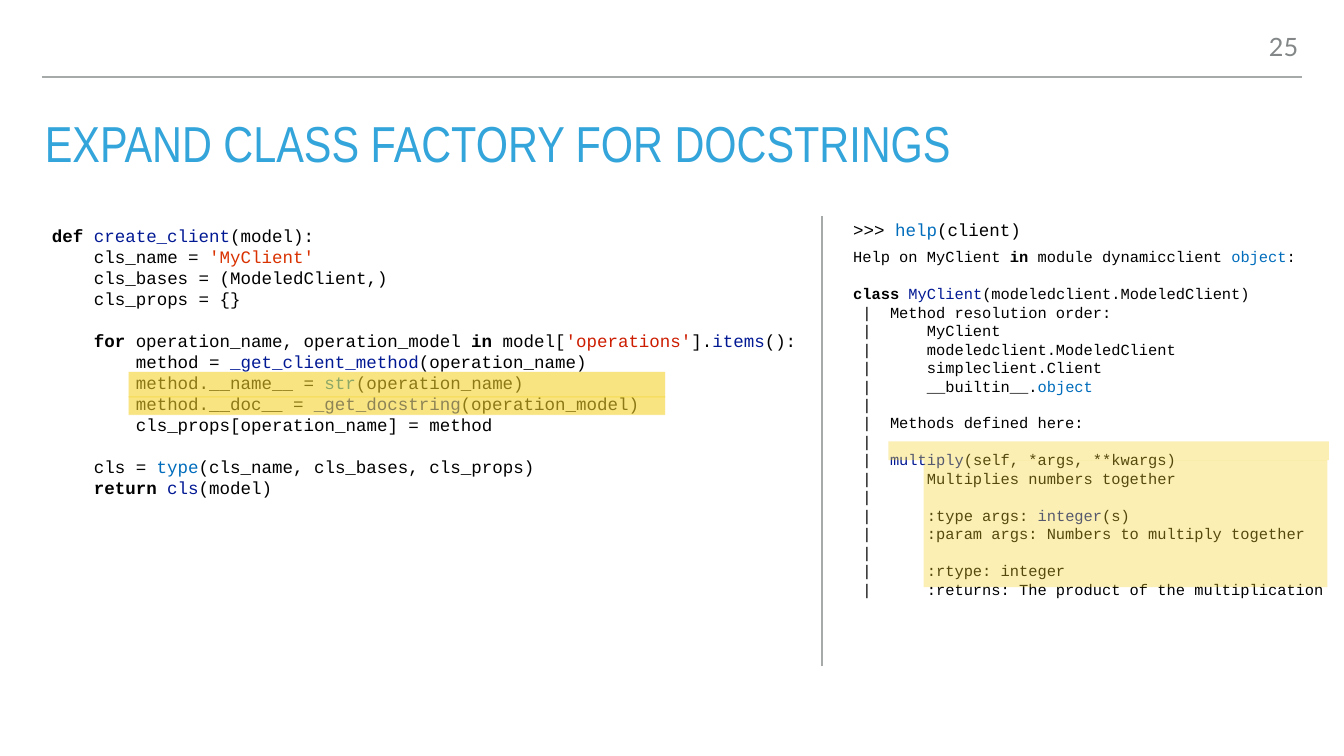
from lxml.etree import SubElement
from pptx import Presentation
from pptx.dml.color import RGBColor
from pptx.enum.shapes import MSO_CONNECTOR, MSO_SHAPE
from pptx.enum.text import MSO_ANCHOR as Anchor, MSO_AUTO_SIZE as AutoSize, PP_ALIGN as Align
from pptx.oxml.ns import qn
from pptx.util import Inches, Pt

COLORS = {
    "paper": "FFFFFF", "rule": "A6AAA9", "title": "34A5DA", "number": "838787",
    "highlight": "F5D328", "code": "000000", "keyword": "000000", "name": "021994",
    "builtin": "006DBC", "string": "D93200", "key": "CD1D00",
}
LINE_PITCH = 1.2  # code line height relative to the font size

# A code line is a list of spans: plain text, or (text, kind). None is an empty line.
FACTORY_CODE = [
    [("def ", "keyword"), ("create_client", "name"), "(model):"],
    ["    cls_name = ", ("'MyClient'", "string")],
    ["    cls_bases = (ModeledClient,)"],
    ["    cls_props = {}"],
    None,
    ["    ", ("for", "keyword"), " operation_name, operation_model ", ("in", "keyword"),
     " model[", ("'operations'", "key"), "].", ("items", "name"), "():"],
    ["        method = ", ("_get_client_method", "name"), "(operation_name)"],
    ["        method.__name__ = ", ("str", "builtin"), "(operation_name)"],
    ["        method.__doc__ = ", ("_get_docstring", "name"), "(operation_model)"],
    ["        cls_props[operation_name] = method"],
    None,
    ["    cls = ", ("type", "builtin"), "(cls_name, cls_bases, cls_props)"],
    ["    ", ("return ", "keyword"), ("cls", "name"), "(model)"],
]
HELP_CALL = [[">>> ", ("help", "builtin"), "(client)"]]
HELP_OUTPUT = [
    ["Help on MyClient ", ("in", "keyword"), " module dynamicclient ",
     ("object", "builtin"), ":"],
    None,
    [("class ", "keyword"), ("MyClient", "name"), "(modeledclient.ModeledClient)"],
    [" |  Method resolution order:"],
    [" |      MyClient"],
    [" |      modeledclient.ModeledClient"],
    [" |      simpleclient.Client"],
    [" |      __builtin__.", ("object", "builtin")],
    [" |"],
    [" |  Methods defined here:"],
    [" |"],
    [" |  ", ("multiply", "name"), "(self, *args, **kwargs)"],
    [" |      Multiplies numbers together"],
    [" |"],
    [" |      :type args: ", ("integer", "name"), "(s)"],
    [" |      :param args: Numbers to multiply together"],
    [" |"],
    [" |      :rtype: integer"],
    [" |      :returns: The product of the multiplication"],
]


def color(name):
    return RGBColor.from_string(COLORS[name])


def add_span(para, text, font, size, color_name, bold=False):
    span = para.add_run()
    span.text = text
    span.font.name = font
    span.font.size = Pt(size)
    span.font.bold = bold
    span.font.color.rgb = color(color_name)


def set_frame(frame, anchor, wrap=True):
    frame.margin_left = frame.margin_right = Inches(0.06)
    frame.margin_top = frame.margin_bottom = Inches(0.06)
    frame.vertical_anchor = anchor
    frame.word_wrap = wrap
    frame.auto_size = AutoSize.NONE


def add_rule(page, start, end):
    rule = page.shapes.add_connector(
        MSO_CONNECTOR.STRAIGHT, *(Inches(value) for value in start + end))
    rule.line.color.rgb = color("rule")
    rule.line.width = Pt(2)
    SubElement(rule._element.spPr, qn("a:effectLst"))


def add_rectangle(page, area, fill):
    box = page.shapes.add_shape(MSO_SHAPE.RECTANGLE, *(Inches(value) for value in area))
    box.shadow.inherit = False
    box.fill.solid()
    box.fill.fore_color.rgb = color(fill)
    box.line.fill.background()
    return box


def add_highlight(page, *area):
    """Add a marker band that lets the code below show through."""
    box = add_rectangle(page, area, "highlight")
    tint = box._element.spPr.find(qn("a:solidFill"))[0]
    SubElement(tint, qn("a:alpha"), val="35000")


def write_code(box, lines, size):
    frame = box.text_frame
    set_frame(frame, Anchor.MIDDLE)
    pitch = Pt(LINE_PITCH * size)
    para, gap = frame.paragraphs[0], 0
    for index, line in enumerate(lines):
        if line is None:
            gap = pitch
            continue
        if index:
            para = frame.add_paragraph()
        para.alignment = Align.LEFT
        para.line_spacing = pitch
        para.space_before = gap
        gap = 0
        for part in line:
            text, kind = (part, "code") if isinstance(part, str) else part
            add_span(para, text, "Courier New", size, kind, kind == "keyword")


def set_title(page, text):
    title = page.shapes.title
    title.left, title.top = Inches(0.83), Inches(2.36)
    title.width, title.height = Inches(25), Inches(1.11)
    set_frame(title.text_frame, Anchor.BOTTOM)
    para = title.text_frame.paragraphs[0]
    para.alignment = Align.LEFT
    para.line_spacing = 0.8
    add_span(para, text, "Arial Narrow", 72.2, "title")


def add_page_number(page, number):
    box = page.shapes.add_textbox(Inches(25.22), Inches(0.67), Inches(0.6), Inches(0.69))
    set_frame(box.text_frame, Anchor.TOP, wrap=False)
    para = box.text_frame.paragraphs[0]
    para.alignment = Align.RIGHT
    para.line_spacing = 0.8
    add_span(para, number, "Lato", 36, "number")


def main():
    deck = Presentation()
    deck.slide_width, deck.slide_height = Inches(26.67), Inches(15)
    page = deck.slides.add_slide(deck.slide_layouts[5])

    add_rule(page, (0.83, 1.53), (25.83, 1.53))
    set_title(page, "EXPAND CLASS FACTORY FOR DOCSTRINGS")
    add_page_number(page, "25")

    factory = add_rectangle(page, (0.97, 4.49, 15.13, 5.35), "paper")
    write_code(factory, FACTORY_CODE, 25)
    add_highlight(page, 2.55, 7.38, 10.65, 0.86)

    add_rule(page, (16.31, 13.22), (16.31, 4.29))
    call = page.shapes.add_textbox(Inches(16.87), Inches(4.29), Inches(3.46), Inches(0.51))
    write_code(call, HELP_CALL, 25)
    output = add_rectangle(page, (16.87, 4.86, 9.66, 7.06), "paper")
    write_code(output, HELP_OUTPUT, 22)

    add_highlight(page, 18.33, 9.13, 8.01, 2.52)
    add_highlight(page, 2.55, 7.38, 10.65, 0.51)
    add_highlight(page, 2.55, 7.86, 10.65, 0.37)
    add_highlight(page, 17.63, 8.76, 8.74, 0.37)

    deck.save("out.pptx")


if __name__ == "__main__":
    main()
